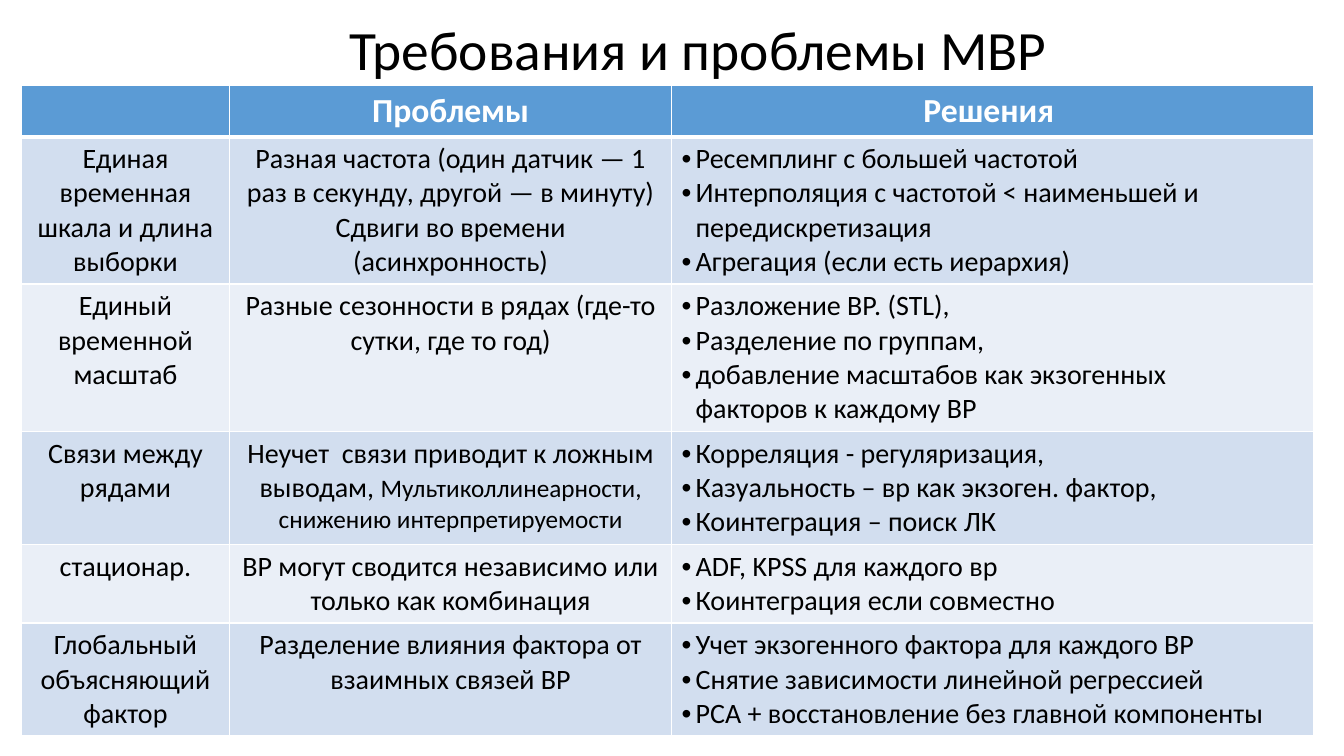
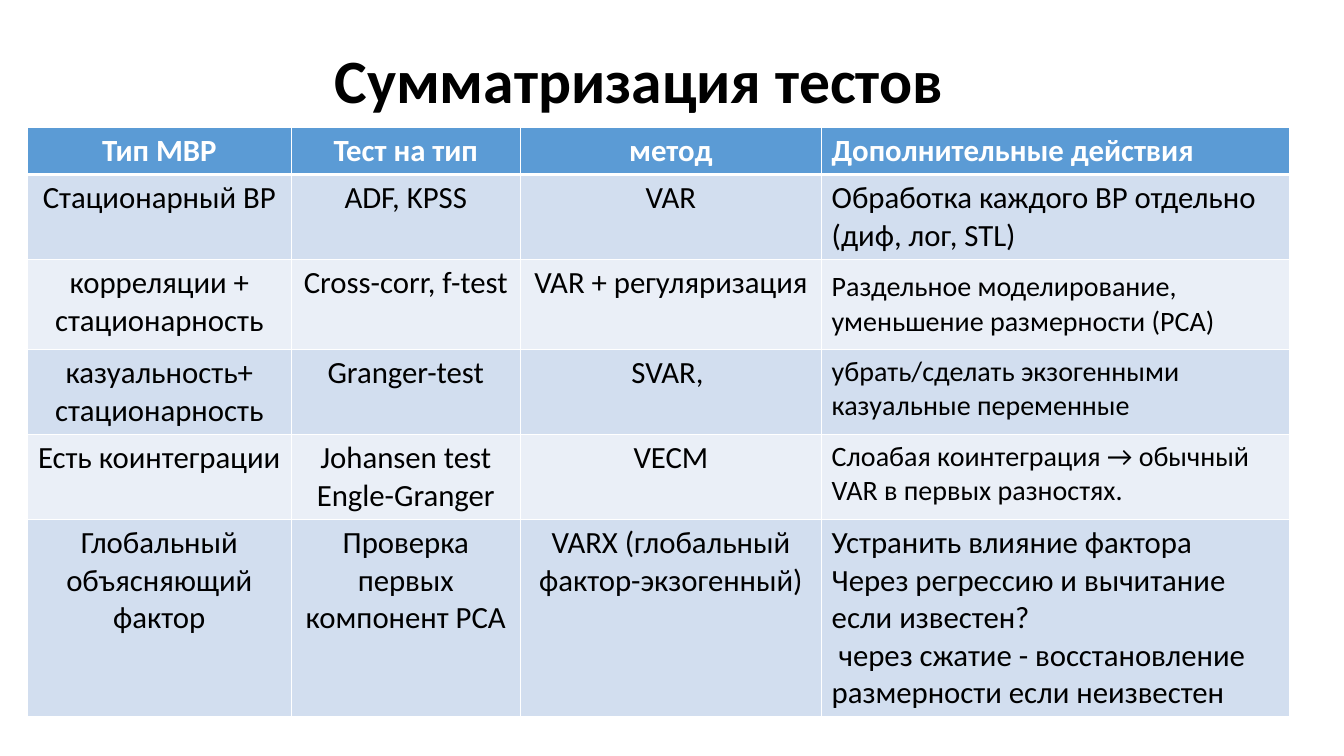
from lxml import etree
from pptx import Presentation
from pptx.dml.color import RGBColor
from pptx.enum import text
from pptx.oxml import ns
from pptx.util import Inches, Pt

BLACK = RGBColor(0x00, 0x00, 0x00)
WHITE = RGBColor(0xFF, 0xFF, 0xFF)
HEADER = RGBColor(0x5B, 0x9B, 0xD5)
BANDS = (RGBColor(0xEA, 0xEF, 0xF7), RGBColor(0xD2, 0xDE, 0xEF))
FONT = "Calibri"

REQUIREMENTS = [
    ("", "Проблемы", "Решения "),
    ("Единая временная шкала и длина выборки",
     "Разная частота (один датчик — 1 раз в секунду, другой — в минуту)\n"
     "Сдвиги во времени (асинхронность)",
     "Ресемплинг с большей частотой\n"
     "Интерполяция с частотой < наименьшей и передискретизация\n"
     "Агрегация (если есть иерархия)"),
    ("Единый временной масштаб",
     "Разные сезонности в рядах (где-то сутки, где то год)",
     "Разложение ВР. (STL),\nРазделение по группам,\n"
     "добавление масштабов как экзогенных \vфакторов к каждому ВР"),
    ("Связи между рядами",
     ("Неучет  связи приводит к ложным выводам, ",
      "Мультиколлинеарности, снижению интерпретируемости"),
     "Корреляция - регуляризация,\n"
     "Казуальность – вр как экзоген. фактор,\n"
     "Коинтеграция – поиск ЛК"),
    ("стационар.",
     "ВР могут сводится независимо или только как комбинация",
     "ADF, KPSS для каждого вр\nКоинтеграция если совместно"),
    ("Глобальный объясняющий фактор",
     "Разделение влияния фактора от взаимных связей ВР",
     "Учет экзогенного фактора для каждого ВР\n"
     "Снятие зависимости линейной регрессией\n"
     "PCA + восстановление без главной компоненты"),
]

TESTS = [
    ("Тип МВР", "Тест на тип", "метод", "Дополнительные действия"),
    ("Стационарный ВР", "ADF, KPSS", "VAR",
     "Обработка каждого ВР отдельно (диф, лог, STL)"),
    ("корреляции + стационарность", "Cross-corr, f-test", "VAR + регуляризация",
     ("", "Раздельное моделирование, уменьшение размерности (PCA)")),
    ("казуальность+ стационарность", "Granger-test", "SVAR, ",
     ("", "убрать/сделать экзогенными казуальные переменные")),
    ("Есть коинтеграции", "Johansen test Engle-Granger", "VECM",
     ("", "Слоабая коинтеграция → обычный VAR в первых разностях.")),
    ("Глобальный объясняющий фактор", "Проверка первых компонент PCA",
     "VARX (глобальный фактор-экзогенный)",
     "Устранить влияние фактора\n"
     "Через регрессию и вычитание если известен?\n"
     " через сжатие - восстановление размерности если неизвестен"),
]


class Deck:
    """Holds the presentation, its style and the current slide."""

    def __init__(self):
        self.prs = Presentation()
        self.prs.slide_width = Inches(13.33)
        self.prs.slide_height = Inches(7.5)
        self.slide = None

    def run(self, p, words, size, color=BLACK, bold=False):
        for i, line in enumerate(words.split("\v")):
            if i:
                p.add_line_break()
            r = p.add_run()
            r.text = line
            r.font.name = FONT
            r.font.size = Pt(size)
            r.font.bold = bold
            r.font.color.rgb = color

    def title(self, words, box, size, bold=False):
        self.slide = self.prs.slides.add_slide(self.prs.slide_layouts[5])
        sp = self.slide.shapes.title
        sp.left, sp.top, sp.width, sp.height = map(Inches, box)
        tf = sp.text_frame
        tf.word_wrap = True
        tf.auto_size = text.MSO_AUTO_SIZE.NONE
        tf.vertical_anchor = text.MSO_ANCHOR.MIDDLE
        p = tf.paragraphs[0]
        p.alignment = text.PP_ALIGN.CENTER
        p.line_spacing = 0.9
        self.run(p, words, size, bold=bold)

    def borders(self, cell, row):
        tc_pr = cell._tc.get_or_add_tcPr()
        for side in "LRTB":
            thick = (row, side) in ((0, "B"), (1, "T"))
            ln = etree.SubElement(tc_pr, ns.qn(f"a:ln{side}"), w=str(Pt(3 if thick else 1)))
            fill = etree.SubElement(ln, ns.qn("a:solidFill"))
            etree.SubElement(fill, ns.qn("a:srgbClr"), val=str(WHITE))

    def bullet(self, p):
        p_pr = p._p.get_or_add_pPr()
        p_pr.set("marL", str(Inches(0.14)))
        p_pr.set("indent", str(-Inches(0.14)))
        etree.SubElement(p_pr, ns.qn("a:buFont"), typeface="Arial")
        etree.SubElement(p_pr, ns.qn("a:buChar"), char="•")

    def fill_cell(self, cell, content, size, align, color=BLACK, bold=False, bullets=False):
        main, small = content if isinstance(content, tuple) else (content, "")
        tf = cell.text_frame
        for i, words in enumerate(main.split("\n")):
            p = tf.add_paragraph() if i else tf.paragraphs[0]
            p.alignment = align
            if bullets:
                self.bullet(p)
            if words:
                self.run(p, words, size, color, bold)
        if small:
            self.run(p, small, size - 2, color, bold)

    def table(self, origin, widths, heights, rows, size, head_size, bullets=False):
        box = (*origin, sum(widths), sum(heights))
        table = self.slide.shapes.add_table(
            len(rows), len(widths), *map(Inches, box)).table
        table.horz_banding = False
        for column, width in zip(table.columns, widths):
            column.width = Inches(width)
        for i, (row, height) in enumerate(zip(rows, heights)):
            table.rows[i].height = Inches(height)
            head = i == 0
            for j, content in enumerate(row):
                cell = table.cell(i, j)
                self.borders(cell, i)
                cell.fill.solid()
                cell.fill.fore_color.rgb = HEADER if head else BANDS[i % 2]
                last = j == len(row) - 1
                left = last and not (head and bullets)
                align = text.PP_ALIGN.LEFT if left else text.PP_ALIGN.CENTER
                self.fill_cell(cell, content, head_size if head else size, align,
                               WHITE if head else BLACK, head,
                               bullets and last and not head)
        return table


def main():
    deck = Deck()
    deck.title("Требования и проблемы МВР", (0.82, 0.19, 12.21, 0.66), 39.6)
    deck.table((0.21, 0.85), (2.07, 4.38, 6.37), (0.5, 1.46, 1.46, 1.12, 0.78, 1.11),
               REQUIREMENTS, 20, 24, bullets=True)

    deck.title("Сумматризация тестов", (0.27, 0.4, 12.14, 0.86), 44, bold=True)
    table = deck.table((0.27, 1.26), (2.62, 2.27, 2.99, 4.64),
                       (0.47, 0.84, 0.89, 0.84, 0.84, 1.95), TESTS, 22, 22)
    modelling = table.cell(2, 3)
    modelling.vertical_anchor = text.MSO_ANCHOR.MIDDLE
    modelling.margin_top = modelling.margin_bottom = Inches(0.1)
    deck.prs.save("out.pptx")


if __name__ == "__main__":
    main()
